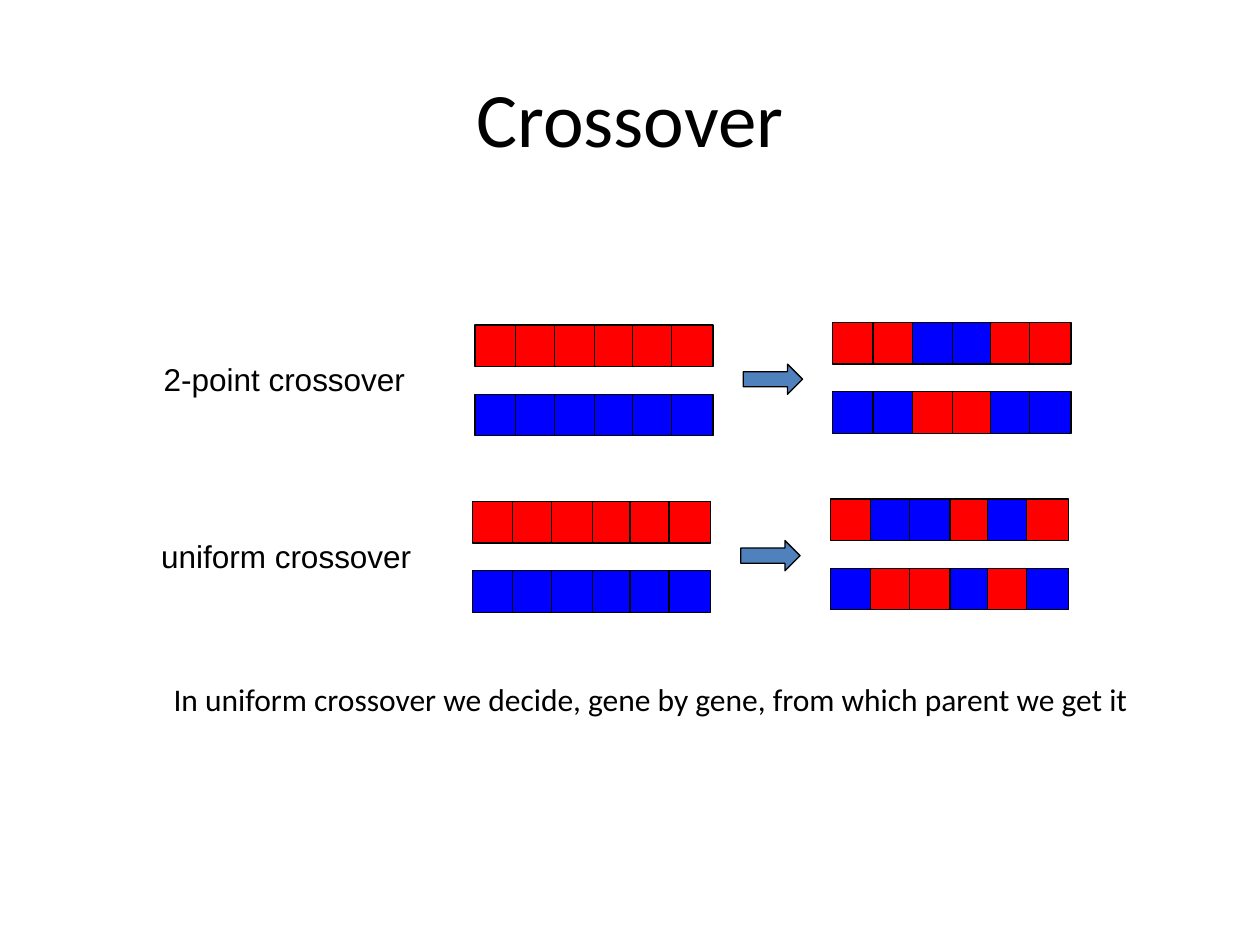
from dataclasses import dataclass

from pptx import Presentation
from pptx.dml.color import RGBColor
from pptx.enum.shapes import MSO_SHAPE
from pptx.enum.text import MSO_ANCHOR, MSO_AUTO_SIZE, PP_ALIGN
from pptx.util import Inches, Pt

RECTANGLE = MSO_SHAPE.RECTANGLE
RIGHT_ARROW = MSO_SHAPE.RIGHT_ARROW
MIDDLE = MSO_ANCHOR.MIDDLE
CENTER = PP_ALIGN.CENTER
LEFT = PP_ALIGN.LEFT
FIT_SHAPE = MSO_AUTO_SIZE.SHAPE_TO_FIT_TEXT
TITLE_ONLY = 5


@dataclass(frozen=True)
class Theme:
    """Colours, fonts and sizes of the slide."""

    red: RGBColor = RGBColor(0xFF, 0x00, 0x00)
    blue: RGBColor = RGBColor(0x00, 0x00, 0xFF)
    arrow: RGBColor = RGBColor(0x4F, 0x81, 0xBD)
    ink: RGBColor = RGBColor(0x00, 0x00, 0x00)
    body_font: str = "Calibri"
    label_font: str = "Arial"
    title_size: int = 44
    text_size: int = 18
    line_width: float = 0.75


THEME = Theme()
GENE_COLORS = {"R": THEME.red, "B": THEME.blue}
SWAP_PARENTS = str.maketrans("RB", "BR")
GENE_SIZE = 0.33
GENE_OFFSETS = (0, 0.32, 0.63, 0.95, 1.25, 1.56)
PAIR_PITCH = 0.55
PARENT_GENES = "RRRRRR"
CROSSOVERS = (
    ("2-point crossover", 3.77, 2.58, 2.14, "RRBBRR"),
    ("uniform crossover", 3.75, 3.98, 2.21, "RBBRBR"),
)


def add_run(paragraph, text, font_name, size):
    """Add one formatted run to a paragraph."""
    run = paragraph.add_run()
    run.text = text
    run.font.name = font_name
    run.font.size = Pt(size)
    run.font.color.rgb = THEME.ink


def add_title(slide, text):
    """Place and fill the title placeholder."""
    title = slide.shapes.title
    title.left, title.top = Inches(0.5), Inches(0.3)
    title.width, title.height = Inches(9), Inches(1.25)
    title.text_frame.vertical_anchor = MIDDLE
    paragraph = title.text_frame.paragraphs[0]
    paragraph.alignment = CENTER
    add_run(paragraph, text, THEME.body_font, THEME.title_size)


def add_label(slide, text, left, top, width, font_name):
    """Add a single line of text."""
    box = slide.shapes.add_textbox(Inches(left), Inches(top), Inches(width), Inches(0.4))
    box.text_frame.word_wrap = False
    box.text_frame.auto_size = FIT_SHAPE
    paragraph = box.text_frame.paragraphs[0]
    paragraph.alignment = LEFT
    add_run(paragraph, text, font_name, THEME.text_size)


def add_block(slide, kind, left, top, width, height, color):
    """Add a filled, outlined preset shape."""
    shape = slide.shapes.add_shape(
        kind, Inches(left), Inches(top), Inches(width), Inches(height)
    )
    shape.shadow.inherit = False
    shape.fill.solid()
    shape.fill.fore_color.rgb = color
    shape.line.color.rgb = THEME.ink
    shape.line.width = Pt(THEME.line_width)


def add_chromosome(slide, genes, left, top):
    """Draw a row of genes."""
    for gene, offset in zip(genes, GENE_OFFSETS):
        add_block(
            slide, RECTANGLE, left + offset, top, GENE_SIZE, GENE_SIZE, GENE_COLORS[gene]
        )


def add_pair(slide, genes, left, top):
    """Draw a chromosome above its complement."""
    add_chromosome(slide, genes, left, top)
    add_chromosome(slide, genes.translate(SWAP_PARENTS), left, top + PAIR_PITCH)


def add_crossover(slide, name, left, top, label_width, child_genes):
    """Draw parents, arrow, children and label of one crossover."""
    add_pair(slide, PARENT_GENES, left, top)
    add_pair(slide, child_genes, left + 2.84, top - 0.02)
    add_block(slide, RIGHT_ARROW, left + 2.13, top + 0.31, 0.47, 0.24, THEME.arrow)
    add_label(slide, name, left - 2.57, top + 0.23, label_width, THEME.label_font)


def main():
    """Build and save the slide."""
    presentation = Presentation()
    presentation.slide_width, presentation.slide_height = Inches(10), Inches(7.5)
    slide = presentation.slides.add_slide(presentation.slide_layouts[TITLE_ONLY])
    add_title(slide, "Crossover")
    for crossover in CROSSOVERS:
        add_crossover(slide, *crossover)
    add_label(
        slide,
        "In uniform crossover we decide, gene by gene, from which parent we get it",
        1.28, 5.35, 7.87, THEME.body_font,
    )
    presentation.save("out.pptx")


if __name__ == "__main__":
    main()
